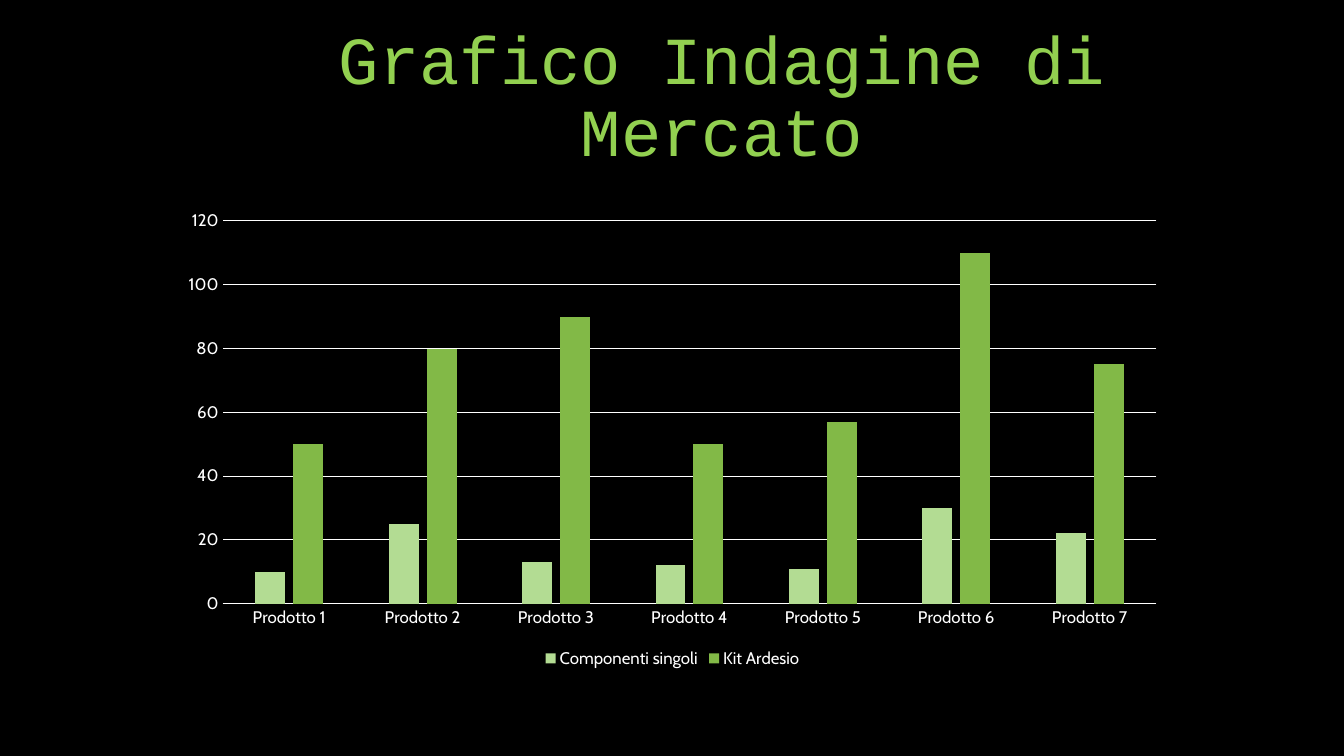
from pptx import Presentation
from pptx.chart.data import CategoryChartData
from pptx.dml.color import RGBColor
from pptx.enum.chart import XL_CHART_TYPE, XL_LEGEND_POSITION, XL_TICK_MARK
from pptx.enum.text import MSO_ANCHOR, MSO_AUTO_SIZE, PP_ALIGN
from pptx.util import Inches, Pt

BLACK = RGBColor(0x00, 0x00, 0x00)
WHITE = RGBColor(0xFF, 0xFF, 0xFF)
TITLE_GREEN = RGBColor(0x92, 0xD0, 0x50)
LIGHT_GREEN = RGBColor(0xB3, 0xDC, 0x93)
MID_GREEN = RGBColor(0x82, 0xB9, 0x47)
COLUMNS = XL_CHART_TYPE.COLUMN_CLUSTERED
LEGEND_BOTTOM = XL_LEGEND_POSITION.BOTTOM
NO_TICK = XL_TICK_MARK.NONE
BOTTOM = MSO_ANCHOR.BOTTOM
NO_AUTOFIT = MSO_AUTO_SIZE.NONE
CENTER = PP_ALIGN.CENTER

SERIES = [
    ("Componenti singoli", [10, 25, 13, 12, 11, 30, 22], LIGHT_GREEN),
    ("Kit Ardesio", [50, 80, 90, 50, 57, 110, 75], MID_GREEN),
]

presentation = Presentation()
presentation.slide_width = Inches(13.33)
presentation.slide_height = Inches(7.5)
slide = presentation.slides.add_slide(presentation.slide_layouts[5])
slide.background.fill.solid()
slide.background.fill.fore_color.rgb = BLACK

title = slide.shapes.title
title.left, title.top = Inches(1.67), Inches(0.5)
title.width, title.height = Inches(10.98), Inches(1.25)
text_frame = title.text_frame
text_frame.word_wrap = True
text_frame.auto_size = NO_AUTOFIT
text_frame.vertical_anchor = BOTTOM
paragraph = text_frame.paragraphs[0]
paragraph.alignment = CENTER
paragraph.line_spacing = 0.9
run = paragraph.add_run()
run.text = "Grafico Indagine di Mercato"
run.font.name = "Courier New"
run.font.size = Pt(48)
run.font.color.rgb = TITLE_GREEN

chart_data = CategoryChartData()
chart_data.categories = [f"Prodotto {number}" for number in range(1, 8)]
for name, values, color in SERIES:
    chart_data.add_series(name, values)
chart = slide.shapes.add_chart(
    COLUMNS, Inches(1.67), Inches(2), Inches(10), Inches(4.67), chart_data
).chart
chart.has_title = False
chart.has_legend = True
chart.legend.position = LEGEND_BOTTOM
chart.legend.include_in_layout = False

plot = chart.plots[0]
plot.gap_width = 219
plot.overlap = -27
plot.vary_by_categories = False
for series, (name, values, color) in zip(plot.series, SERIES):
    series.format.fill.solid()
    series.format.fill.fore_color.rgb = color
    series.invert_if_negative = False

category_axis = chart.category_axis
value_axis = chart.value_axis
for axis in (category_axis, value_axis):
    axis.major_tick_mark = NO_TICK
    axis.minor_tick_mark = NO_TICK
value_axis.minimum_scale = 0
value_axis.maximum_scale = 120
value_axis.major_unit = 20
value_axis.has_major_gridlines = True
value_axis.format.line.fill.background()
for line in (category_axis.format.line, value_axis.major_gridlines.format.line):
    line.color.rgb = WHITE
    line.width = Pt(0.75)

for font in (
    chart.font,
    chart.legend.font,
    category_axis.tick_labels.font,
    value_axis.tick_labels.font,
):
    font.name = "Cabin"
    font.size = Pt(12)
    font.color.rgb = WHITE

presentation.save("out.pptx")
